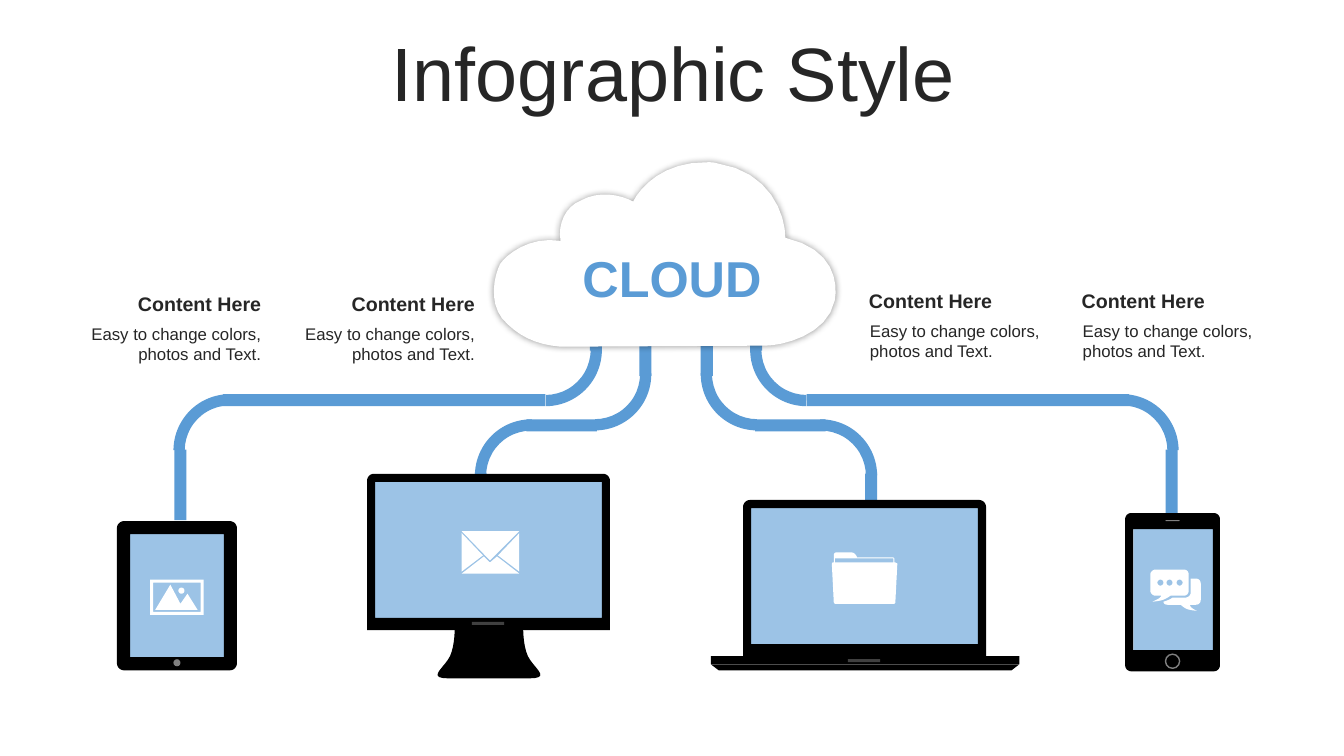
"""Builds a cloud infographic with four devices piped to one cloud."""
from dataclasses import dataclass

from lxml.etree import SubElement
from pptx import Presentation
from pptx.dml.color import RGBColor
from pptx.enum.shapes import MSO_AUTO_SHAPE_TYPE as Preset
from pptx.enum.text import MSO_ANCHOR as Anchor, MSO_AUTO_SIZE as AutoSize, PP_ALIGN as Align
from pptx.oxml.ns import qn
from pptx.util import Pt

PX = 9144
MIRROR = 1341
PIPE = 12
BEND = 112


@dataclass(frozen=True)
class Theme:
    font: str = "Arial"
    ink: str = "262626"
    accent: str = "5A9BD5"
    screen: str = "9CC3E6"
    case: str = "000000"
    slot: str = "404040"
    button: str = "808080"
    paper: str = "FFFFFF"
    title: int = 54
    word: int = 36
    heading: int = 14
    body: int = 12


def contour(x, y, w, h, top=0, bottom=0):
    """Return the outline of a box with rounded top and bottom corners."""
    right, base, a, b = x + w, y + h, top * 0.45, bottom * 0.45
    return (f"M {x + top} {y} L {right - top} {y} "
            f"C {right - a} {y} {right} {y + a} {right} {y + top} L {right} {base - bottom} "
            f"C {right} {base - b} {right - b} {base} {right - bottom} {base} L {x + bottom} {base} "
            f"C {x + b} {base} {x} {base - b} {x} {base - bottom} L {x} {y + top} "
            f"C {x} {y + a} {x + a} {y} {x + top} {y} ")


def curve(start, numbers, steps=8):
    """Return points along a cubic curve."""
    ends = list(zip((start[0], *numbers[::2]), (start[1], *numbers[1::2])))
    points = []
    for step in range(1, steps + 1):
        t = step / steps
        weights = ((1 - t) ** 3, 3 * t * (1 - t) ** 2, 3 * t * t * (1 - t), t ** 3)
        points.append(tuple(sum(k * end[axis] for k, end in zip(weights, ends)) for axis in (0, 1)))
    return points


def trace(outline):
    """Return the point list of every contour in an outline."""
    contours = []
    for part in outline.split("M")[1:]:
        points, numbers, mode = [], [], "L"
        for token in part.split():
            if token in "LC":
                mode = token
                continue
            numbers.append(float(token))
            if len(numbers) == (6 if mode == "C" else 2):
                points += curve(points[-1], numbers) if mode == "C" else [tuple(numbers)]
                numbers = []
        contours.append([(round(x * PX), round(y * PX)) for x, y in points])
    return contours


class Board:
    """Draws styled elements on the current slide."""

    def __init__(self, slide, theme):
        self.slide, self.theme, self.target = slide, theme, slide.shapes

    def group(self):
        self.target = self.slide.shapes.add_group_shape().shapes

    def ungroup(self):
        self.target = self.slide.shapes

    def paint(self, shape, fill, line=None):
        shape.shadow.inherit = False
        if fill:
            shape.fill.solid()
            shape.fill.fore_color.rgb = RGBColor.from_string(fill)
        else:
            shape.fill.background()
        if line:
            shape.line.color.rgb = RGBColor.from_string(line)
            shape.line.width = Pt(1)
        else:
            shape.line.fill.background()
        return shape

    def preset(self, x, y, w, h, fill, kind=Preset.RECTANGLE, adjust=(), line=None):
        shape = self.target.add_shape(kind, x * PX, y * PX, w * PX, h * PX)
        for index, value in enumerate(adjust):
            shape.adjustments[index] = value
        return self.paint(shape, fill, line)

    def outline(self, drawing, fill):
        first, *others = trace(drawing)
        builder = self.target.build_freeform(*first[0], scale=1.0)
        builder.add_line_segments(first[1:], close=True)
        for points in others:
            builder.move_to(*points[0])
            builder.add_line_segments(points[1:], close=True)
        return self.paint(builder.convert_to_shape(), fill)

    def pipe(self, x, y, w, h, mirrored):
        self.preset(MIRROR - x - w if mirrored else x, y, w, h, self.theme.accent)

    def bend(self, x, y, lower, mirrored):
        left = MIRROR - x - BEND if mirrored else x
        arc = self.preset(left, y, BEND, BEND, self.theme.accent, Preset.BLOCK_ARC, (108.25, 162.34, 0.1))
        if lower:
            arc.rotation = 270 if mirrored else 90
        if lower != mirrored:
            arc.element.spPr.xfrm.set("flipH", "1")

    def wide_screen(self, x, y, slot_drop):
        self.preset(x + 4, y + 5, 229, 143, self.theme.screen)
        self.outline(contour(x + 8, y + 8, 225, 135) + contour(x, y, 241, 155, 7), self.theme.case)
        self.preset(x + 104, y + slot_drop, 32, 3, self.theme.slot)

    def style(self, frame, text, size, align, bold=False, colour=None):
        frame.text = text
        paragraph = frame.paragraphs[0]
        paragraph.alignment = align
        font = paragraph.runs[0].font
        font.name, font.size, font.bold = self.theme.font, Pt(size), bold
        font.color.rgb = RGBColor.from_string(colour or self.theme.ink)
        return paragraph

    def title(self, text, x, y, w, h):
        heading = self.slide.shapes.title
        heading.left, heading.top, heading.width, heading.height = x * PX, y * PX, w * PX, h * PX
        heading.text_frame.vertical_anchor = Anchor.MIDDLE
        self.style(heading.text_frame, text, self.theme.title, Align.CENTER).line_spacing = 0.9

    def text(self, text, x, y, w, h, size, align, bold=False, anchor=Anchor.TOP, colour=None):
        frame = self.target.add_textbox(x * PX, y * PX, w * PX, h * PX).text_frame
        frame.word_wrap, frame.auto_size = True, AutoSize.SHAPE_TO_FIT_TEXT
        frame.vertical_anchor = anchor
        self.style(frame, text, size, align, bold, colour)

    def glow(self, shape):
        effects = shape.element.spPr.find(qn("a:effectLst"))
        shadow = SubElement(effects, qn("a:outerShdw"), blurRad=str(Pt(5)), algn="ctr", rotWithShape="0")
        colour = SubElement(shadow, qn("a:srgbClr"), val=self.theme.case)
        SubElement(colour, qn("a:alpha"), val="40000")


CLOUD = ("M 702 161 C 705 161 708 161 711 162 C 764 170 779 213 779 236 C 828 247 831 281 828 298 "
         "C 821 333 775 343 759 343 L 556 344 C 531 342 513 333 498 316 C 485 299 490 274 496 262 "
         "C 502 253 525 234 556 239 C 553 222 561 205 576 199 C 594 189 615 193 628 200 "
         "C 635 186 658 160 702 161")
STAND = ("M 526 655 C 519 646 519 625 519 625 L 451 625 C 451 625 451 646 444 655 "
         "C 437 665 425 673 445 673 L 525 673 C 545 673 533 665 526 655")
PHOTO = (contour(177, 583, 6, 6, 3, 3) + "M 169 580 L 179 599 186 589 196 605 154 605 "
         + contour(152, 578, 47, 29) + contour(149, 575, 53, 35))
CHAT = ("".join(contour(x, 575, 6, 6, 3, 3) for x in (1148, 1157, 1167))
        + "M 1181 574 L 1186 574 C 1189 574 1191 576 1191 579 L 1191 595 C 1191 598 1189 600 1186 600 "
        "L 1180 600 C 1181 602 1181 603 1187 606 C 1177 605 1176 604 1171 600 L 1158 600 "
        "C 1156 600 1154 599 1154 597 C 1157 596 1160 595 1163 593 L 1175 593 C 1178 593 1181 591 1181 588 "
        "M 1146 565 L 1174 565 C 1177 565 1179 567 1179 570 L 1179 586 C 1179 589 1177 591 1174 591 "
        "L 1161 591 C 1155 595 1153 596 1143 597 C 1149 594 1150 594 1152 591 L 1146 591 "
        "C 1144 591 1141 589 1141 586 L 1141 570 C 1141 567 1144 565 1146 565")
MAIL = ("M 493 552 L 515 569 458 569 480 552 486 558 M 515 529 L 515 567 494 551 "
        "M 458 529 L 479 551 458 567 M 458 527 L 515 527 486 556")
FOLDER = (contour(828, 554, 58, 4) + "M 830 548 L 844 548 C 847 548 849 550 850 553 L 886 553 887 554 "
          "887 558 888 558 890 559 888 598 887 599 828 599 827 598 825 559 826 558 827 558 827 551 "
          "C 827 549 828 548 830 548")


def main():
    """Compose the slide and save it."""
    deck = Presentation()
    deck.slide_width, deck.slide_height = 1333 * PX, 750 * PX
    theme = Theme()
    board = Board(deck.slides.add_slide(deck.slide_layouts[5]), theme)
    board.title("Infographic Style", 35, 37, 1266, 79)

    for mirrored in (False, True):
        board.group()
        for x, y, lower in ((172, 391, False), (485, 291, True), (534, 315, True), (471, 416, False)):
            board.bend(x, y, lower, mirrored)
        for x, y, w, h in ((221, 391, 320, PIPE), (173, 446, PIPE, 70), (585, 298, PIPE, 50),
                           (522, 416, 70, PIPE), (634, 323, PIPE, 50), (471, 470, PIPE, 50)):
            board.pipe(x, y, w, h, mirrored)

    board.group()
    board.preset(705, 651, 306, 8, theme.case)
    board.preset(705, 659, 306, 6, theme.case, Preset.TRAPEZOID, (1.3,)).rotation = 180
    board.wide_screen(737, 496, 158)

    board.group()
    board.preset(123, 524, 106, 137, theme.screen)
    board.outline(contour(129, 530, 93, 122) + contour(116, 517, 119, 148, 7, 7), theme.case)
    board.preset(172, 654, 7, 7, theme.button, Preset.OVAL)

    board.group()
    board.preset(1124, 520, 80, 131, theme.screen)
    board.outline(contour(1124, 525, 79, 120) + contour(1116, 509, 94, 157, 6, 6), theme.case)
    board.preset(1156, 516, 14, 1, theme.button, Preset.ROUNDED_RECTANGLE, (0.5,))
    board.preset(1156, 649, 14, 14, None, Preset.OVAL, line=theme.button)

    board.group()
    board.outline(STAND, theme.case)
    board.wide_screen(364, 470, 147)

    board.ungroup()
    board.glow(board.outline(CLOUD, theme.paper))
    board.text("CLOUD", 556, 242, 221, 66, theme.word, Align.CENTER, True, Anchor.MIDDLE, theme.accent)
    for icon in (PHOTO, CHAT, MAIL, FOLDER):
        board.outline(icon, theme.paper)

    for x, y, align in ((64, 284, Align.RIGHT), (276, 284, Align.RIGHT),
                        (852, 281, Align.LEFT), (1063, 281, Align.LEFT)):
        board.group()
        board.text("Content Here", x, y, 205, 34, theme.heading, align, True, Anchor.MIDDLE)
        board.text("Easy to change colors, photos and Text.", x + 1, y + 32, 204, 50, theme.body, align)

    deck.save("out.pptx")


if __name__ == "__main__":
    main()
